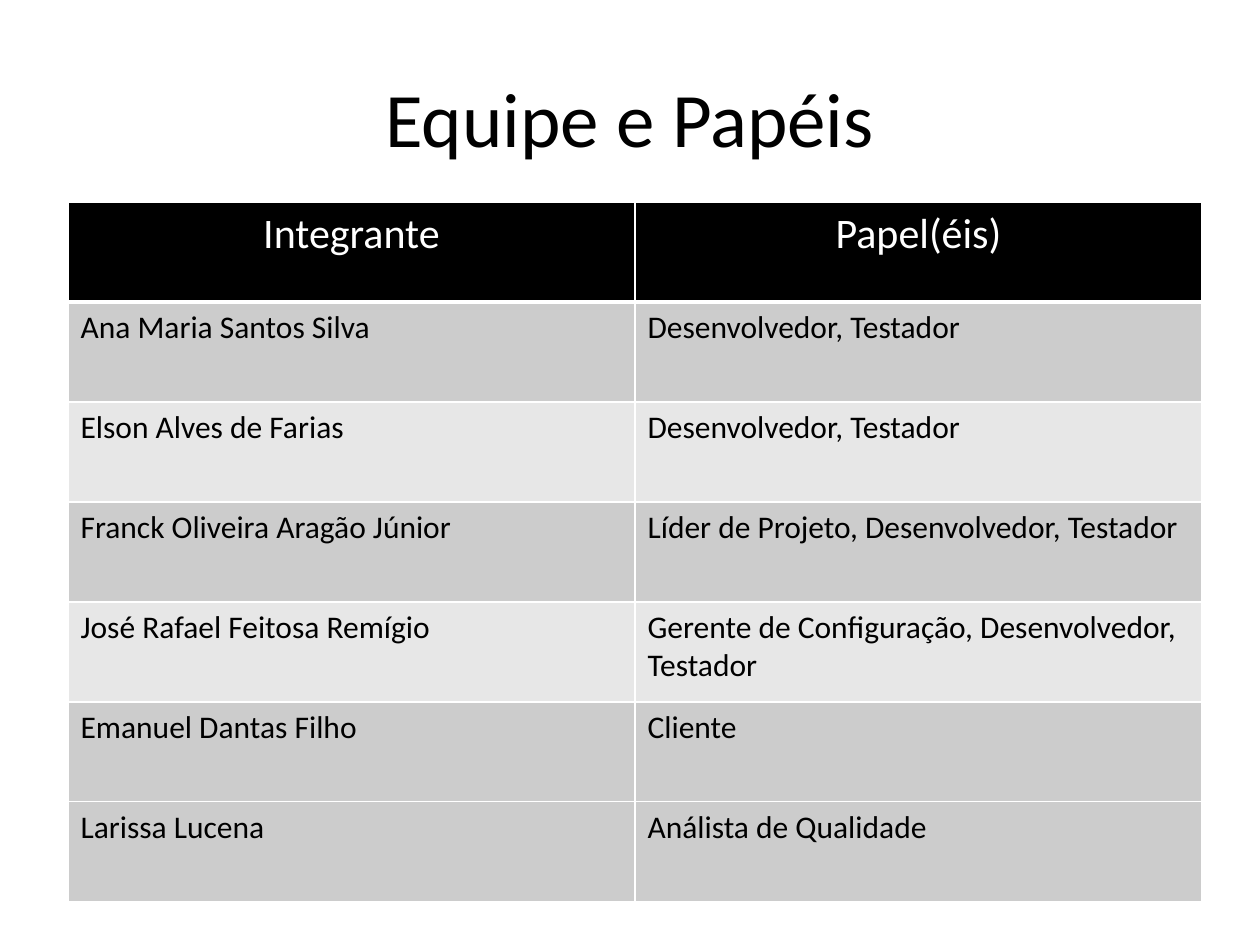
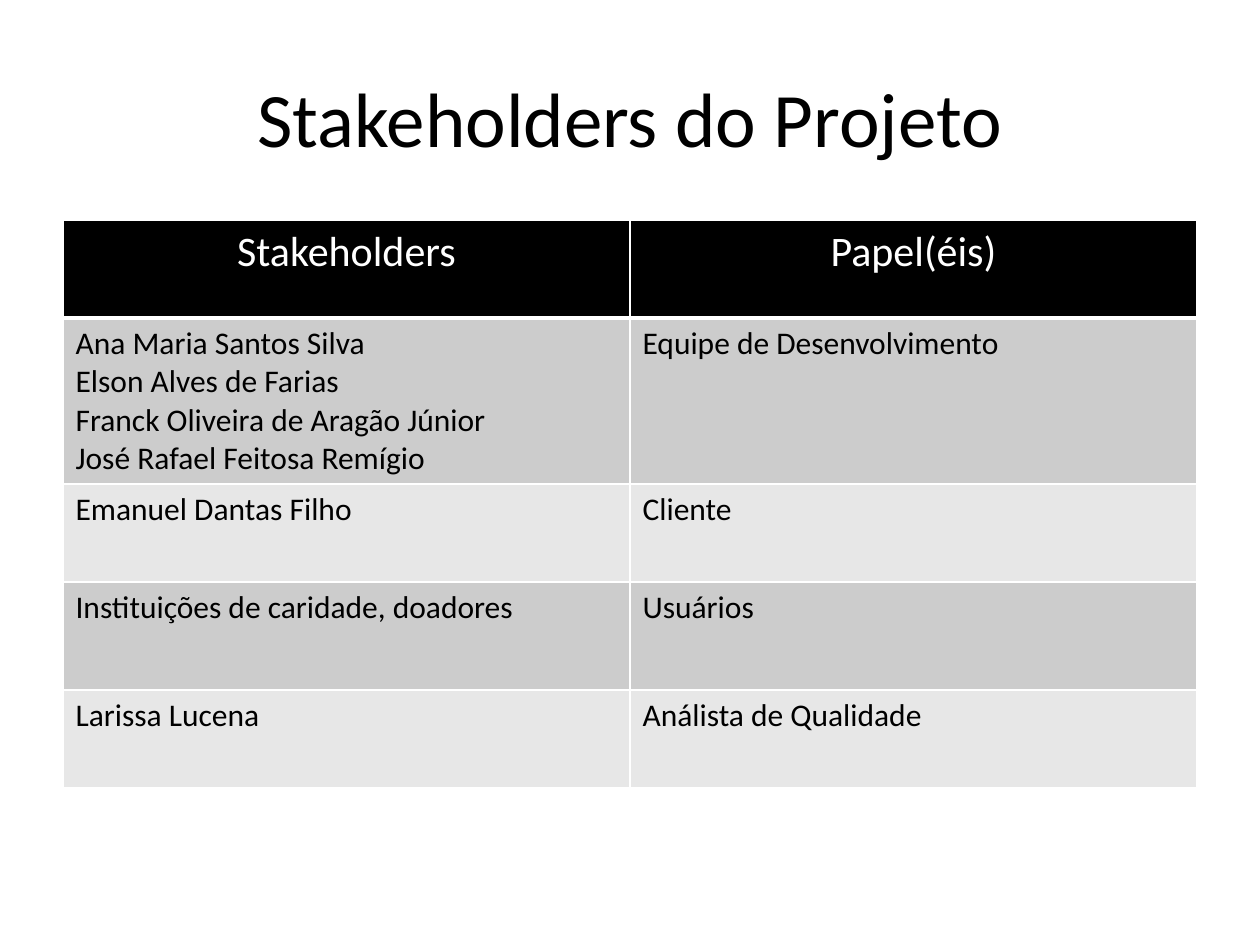
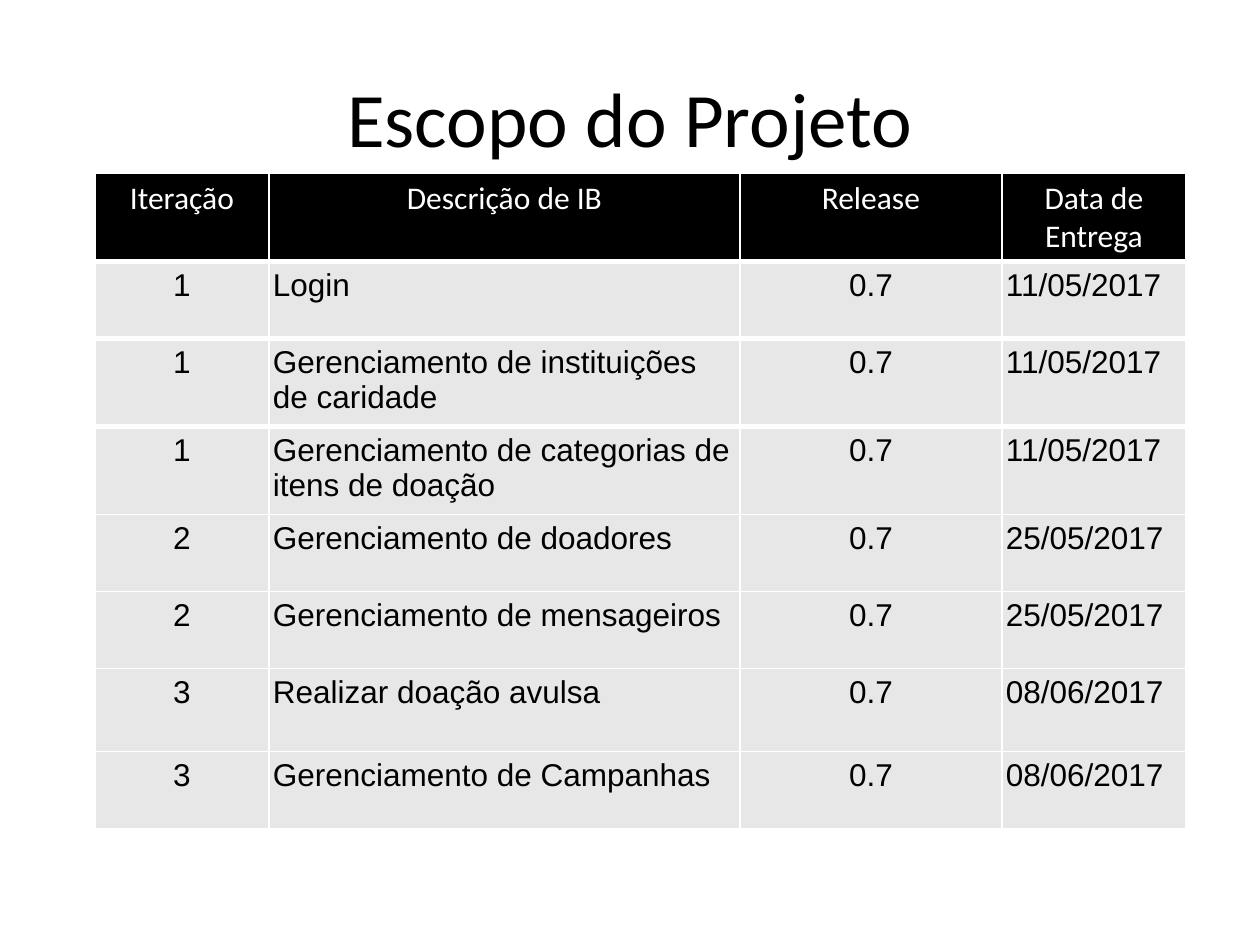
from dataclasses import dataclass

from pptx import Presentation
from pptx.dml.color import RGBColor
from pptx.enum import text
from pptx.oxml import parse_xml
from pptx.oxml.ns import nsdecls
from pptx.util import Pt

EMU_PER_PX = 914400 / 126
CENTER, LEFT = text.PP_ALIGN.CENTER, text.PP_ALIGN.LEFT


def px(length):
    return round(length * EMU_PER_PX)


@dataclass(frozen=True)
class Theme:
    ink: str = "000000"
    paper: str = "FFFFFF"
    dark_band: str = "CCCCCC"
    light_band: str = "E7E7E7"
    font: str = "Calibri"
    plain_font: str = "Arial"
    title_size: int = 44
    header_size: int = 24
    body_size: int = 18
    thin_line: float = 0.96
    thick_line: float = 3


def write(frame, content, *, size, color, font, align=LEFT):
    """Fill a text frame with one paragraph per line of content."""
    for index, line in enumerate(content.split("\n")):
        para = frame.add_paragraph() if index else frame.paragraphs[0]
        para.alignment = align
        span = para.add_run()
        span.text = line
        span.font.size = Pt(size)
        span.font.name = font
        span.font.color.rgb = RGBColor.from_string(color)


def add_borders(cell, color, widths):
    """Draw the cell's sides; widths maps L, R, T, B (in that order) to points."""
    properties = cell._tc.get_or_add_tcPr()
    for side, width in widths.items():
        properties.append(parse_xml(
            f'<a:ln{side} {nsdecls("a")} w="{Pt(width)}"><a:solidFill>'
            f'<a:srgbClr val="{color}"/></a:solidFill></a:ln{side}>'))


class SlideBuilder:
    def __init__(self, theme):
        self.theme = theme
        self.deck = Presentation()
        self.deck.slide_width = px(1260)
        self.deck.slide_height = px(945)
        self.page = None

    def new_page(self, title):
        self.page = self.deck.slides.add_slide(self.deck.slide_layouts[6])
        background = self.page.background.fill
        background.solid()
        background.fore_color.rgb = RGBColor.from_string(self.theme.paper)
        self.title(title)

    def title(self, content):
        box = self.page.shapes.add_textbox(px(63), px(38), px(1134), px(157))
        frame = box.text_frame
        frame.word_wrap = True
        frame.vertical_anchor = text.MSO_ANCHOR.MIDDLE
        write(frame, content, size=self.theme.title_size, color=self.theme.ink,
              font=self.theme.font, align=CENTER)

    def table(self, left, top, widths, heights, rows, bands, *, header_size,
              body_font, centered=(), inset=None, thick_rules=(1,)):
        """Add a table; bands colour the body rows, and thick_rules are the
        row boundaries drawn heavy, counted from the top edge."""
        theme = self.theme
        grid = self.page.shapes.add_table(
            len(rows), len(widths), px(left), px(top),
            px(sum(widths)), px(sum(heights))).table
        grid.first_row = grid.horz_banding = False
        for column, width in zip(grid.columns, widths):
            column.width = px(width)
        for row, height in zip(grid.rows, heights):
            row.height = px(height)

        def rule(boundary):
            return theme.thick_line if boundary in thick_rules else theme.thin_line

        fills = [theme.ink, *bands]
        for row, contents in enumerate(rows):
            for column, content in enumerate(contents):
                cell = grid.cell(row, column)
                if inset is not None:
                    cell.margin_left = cell.margin_right = px(inset)
                add_borders(cell, theme.paper, {
                    "L": theme.thin_line, "R": theme.thin_line,
                    "T": rule(row), "B": rule(row + 1)})
                cell.fill.solid()
                cell.fill.fore_color.rgb = RGBColor.from_string(fills[row])
                if row == 0:
                    write(cell.text_frame, content, size=header_size,
                          color=theme.paper, font=theme.font, align=CENTER)
                else:
                    write(cell.text_frame, content, size=theme.body_size,
                          color=theme.ink, font=body_font,
                          align=CENTER if column in centered else LEFT)


def team_page(builder):
    theme = builder.theme
    rows = [
        ("Integrante", "Papel(éis)"),
        ("Ana Maria Santos Silva", "Desenvolvedor, Testador"),
        ("Elson Alves de Farias", "Desenvolvedor, Testador"),
        ("Franck Oliveira Aragão Júnior", "Líder de Projeto, Desenvolvedor, Testador"),
        ("José Rafael Feitosa Remígio",
         "Gerente de Configuração, Desenvolvedor, Testador"),
        ("Emanuel Dantas Filho", "Cliente"),
        ("Larissa Lucena", "Análista de Qualidade"),
    ]
    builder.new_page("Equipe e Papéis")
    builder.table(68, 202, [567] * 2, [100] * len(rows), rows,
                  [theme.dark_band, theme.light_band] * 2 + [theme.dark_band] * 2,
                  header_size=theme.header_size, body_font=theme.font)


def stakeholders_page(builder):
    theme = builder.theme
    developers = "\n".join([
        "Ana Maria Santos Silva", "Elson Alves de Farias",
        "Franck Oliveira de Aragão Júnior", "José Rafael Feitosa Remígio"])
    rows = [
        ("Stakeholders", "Papel(éis)"),
        (developers, "Equipe de Desenvolvimento"),
        ("Emanuel Dantas Filho", "Cliente"),
        ("Instituições de caridade, doadores", "Usuários"),
        ("Larissa Lucena", "Análista de Qualidade"),
    ]
    builder.new_page("Stakeholders do Projeto")
    builder.table(63, 220, [567] * 2, [98, 166, 98, 108, 98], rows,
                  [theme.dark_band, theme.light_band] * 2,
                  header_size=theme.header_size, body_font=theme.font)


def scope_page(builder):
    theme = builder.theme
    release = "0.7"
    deliveries = {"1": "11/05/2017", "2": "25/05/2017", "3": "08/06/2017"}
    backlog = [
        ("1", "Login"),
        ("1", "Gerenciamento de instituições de caridade"),
        ("1", "Gerenciamento de categorias de itens de doação"),
        ("2", "Gerenciamento de doadores"),
        ("2", "Gerenciamento de mensageiros"),
        ("3", "Realizar doação avulsa"),
        ("3", "Gerenciamento de Campanhas"),
    ]
    rows = [("Iteração", "Descrição de IB", "Release", "Data de Entrega")]
    rows += [(iteration, item, release, deliveries[iteration])
             for iteration, item in backlog]
    builder.new_page("Escopo do Projeto")
    builder.table(95, 173, [174, 471, 262, 184],
                  [88, 77, 85, 85, 77, 77, 83, 77], rows,
                  [theme.light_band] * len(backlog),
                  header_size=theme.body_size, body_font=theme.plain_font,
                  centered=(0, 2), inset=4, thick_rules=(1, 2, 3))


def main():
    builder = SlideBuilder(Theme())
    team_page(builder)
    stakeholders_page(builder)
    scope_page(builder)
    builder.deck.save("out.pptx")


if __name__ == "__main__":
    main()
